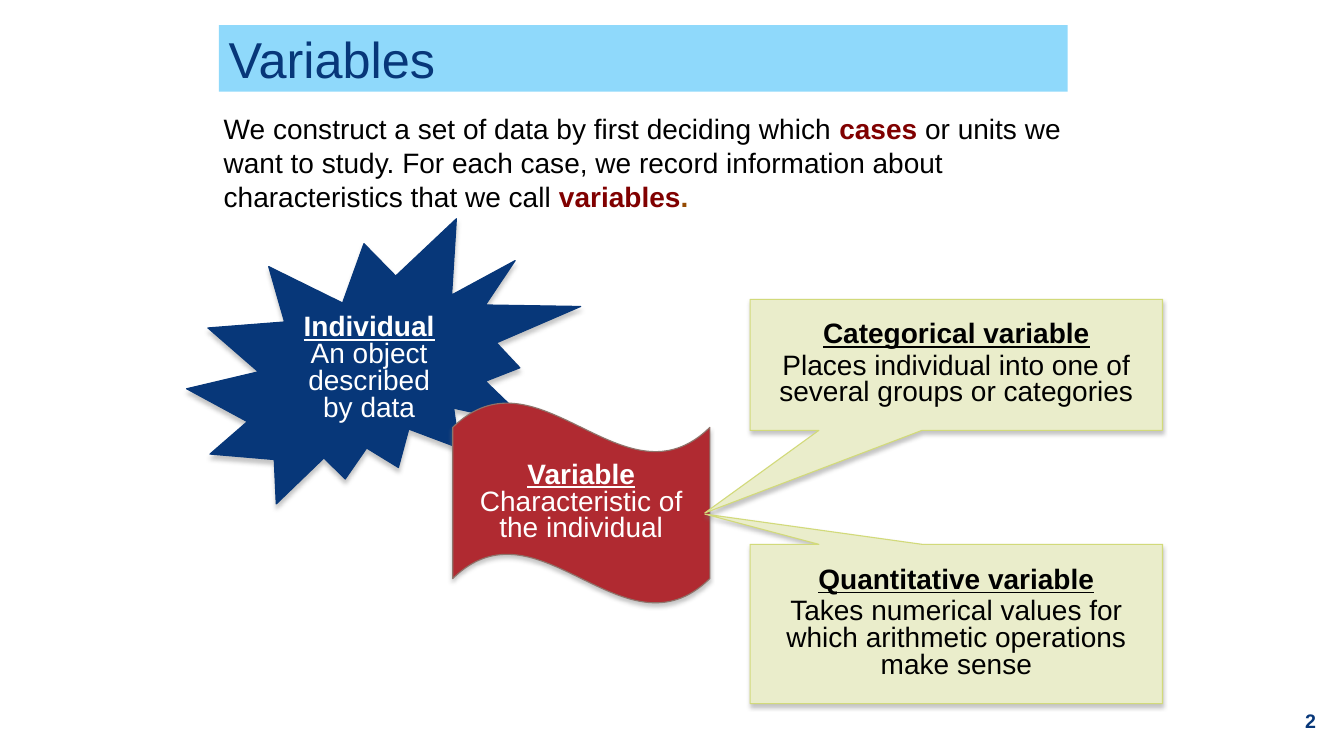
from dataclasses import dataclass

from lxml.etree import SubElement
from pptx import Presentation
from pptx.dml.color import RGBColor
from pptx.enum.shapes import MSO_SHAPE as Shape
from pptx.enum.text import MSO_ANCHOR as Anchor, PP_ALIGN as Align
from pptx.oxml.ns import qn
from pptx.util import Inches, Pt


@dataclass(frozen=True)
class Theme:
    font: str = "Arial"
    navy: str = "073779"
    sky: str = "8FD9FB"
    red: str = "B02A31"
    brown: str = "8E736A"
    cream: str = "EAEDCB"
    lime: str = "D2DA7A"
    maroon: str = "800000"
    amber: str = "954B02"
    gray: str = "808080"
    black: str = "000000"
    white: str = "FFFFFF"
    title: int = 36
    body: int = 20
    small: int = 14
    line: float = 0.79
    tight: float = 0.8


THEME = Theme()


def rgb(code):
    return RGBColor.from_string(code)


def style(para, size, color, bold=False, align=Align.LEFT):
    font = para.font
    font.name, font.size, font.bold = THEME.font, Pt(size), bold
    font.color.rgb = rgb(color)
    para.alignment = align


def add_text(slide, box, anchor=Anchor.TOP):
    frame = slide.shapes.add_textbox(*map(Inches, box)).text_frame
    frame.word_wrap = True
    frame.vertical_anchor = anchor
    return frame.paragraphs[0]


def add_block(slide, kind, box, fill):
    block = slide.shapes.add_shape(kind, *map(Inches, box))
    block.shadow.inherit = False
    block.fill.solid()
    block.fill.fore_color.rgb = rgb(fill)
    block.line.fill.background()
    block.text_frame.word_wrap = True
    block.text_frame.vertical_anchor = Anchor.MIDDLE
    return block


def add_shadow(block):
    effects = block._element.spPr.find(qn("a:effectLst"))
    shadow = SubElement(effects, qn("a:outerShdw"), blurRad=str(Pt(3)),
                        dist=str(Pt(2.4)), dir="5400000", rotWithShape="0")
    color = SubElement(shadow, qn("a:srgbClr"), val=THEME.gray)
    SubElement(color, qn("a:alpha"), val="45000")


def add_term(slide, kind, box, colors, term, meaning, adjust=(),
             lead=THEME.tight, gap=0):
    """Add a shadowed shape with an underlined term above its meaning."""
    fill, edge, ink = colors
    block = add_block(slide, kind, box, fill)
    block.line.color.rgb = rgb(edge)
    block.line.width = Pt(THEME.line)
    add_shadow(block)
    for index, value in enumerate(adjust):
        block.adjustments[index] = value

    frame = block.text_frame
    head, text = frame.paragraphs[0], frame.add_paragraph()
    head.text, text.text = term, meaning
    style(head, THEME.body, ink, True, Align.CENTER)
    style(text, THEME.body, ink, False, Align.CENTER)
    head.font.underline = True
    head.line_spacing = lead
    text.line_spacing = THEME.tight
    text.space_before = Pt(gap)


def add_intro(slide):
    para = add_text(slide, (2.12, 1.06, 9.15, 1.11))
    style(para, THEME.body, THEME.black)
    para.space_before = Pt(7)
    for text, color in (
        ("We construct a set of data by first deciding which ", None),
        ("cases ", THEME.maroon),
        ("or units we want to study. For each case, we record information "
         "about characteristics that we call ", None),
        ("variables", THEME.maroon),
        (".", THEME.amber),
    ):
        run = para.add_run()
        run.text = text
        if color:
            run.font.bold = True
            run.font.color.rgb = rgb(color)


def main():
    deck = Presentation()
    deck.slide_width, deck.slide_height = Inches(13.33), Inches(7.5)
    slide = deck.slides.add_slide(deck.slide_layouts[6])

    number = add_text(slide, (12.41, 6.95, 0.74, 0.4), Anchor.MIDDLE)
    number.text = "2"
    style(number, THEME.small, THEME.navy, True, Align.RIGHT)

    banner = add_block(slide, Shape.RECTANGLE, (2.17, 0.25, 8.42, 0.66), THEME.sky)
    title = banner.text_frame.paragraphs[0]
    title.text = "Variables"
    style(title, THEME.title, THEME.navy)

    add_intro(slide)
    add_term(slide, Shape.EXPLOSION2, (1.85, 2.17, 3.91, 2.83),
             (THEME.navy, THEME.navy, THEME.white),
             "Individual", "An object described by data", lead=1.0)
    add_term(slide, Shape.WAVE, (4.49, 3.99, 2.55, 2),
             (THEME.red, THEME.brown, THEME.white),
             "Variable", "Characteristic of the individual", (0.125, 0))

    for top, height, tip, term, meaning in (
        (2.97, 1.3, 1.13, "Categorical variable",
         "Places individual into one of several groups or categories"),
        (5.4, 1.58, -0.69, "Quantitative variable",
         "Takes numerical values for which arithmetic operations make sense"),
    ):
        add_term(slide, Shape.RECTANGULAR_CALLOUT, (7.44, top, 4.09, height),
                 (THEME.cream, THEME.lime, THEME.black),
                 term, meaning, (-0.61, tip), gap=3)

    deck.save("out.pptx")


if __name__ == "__main__":
    main()
